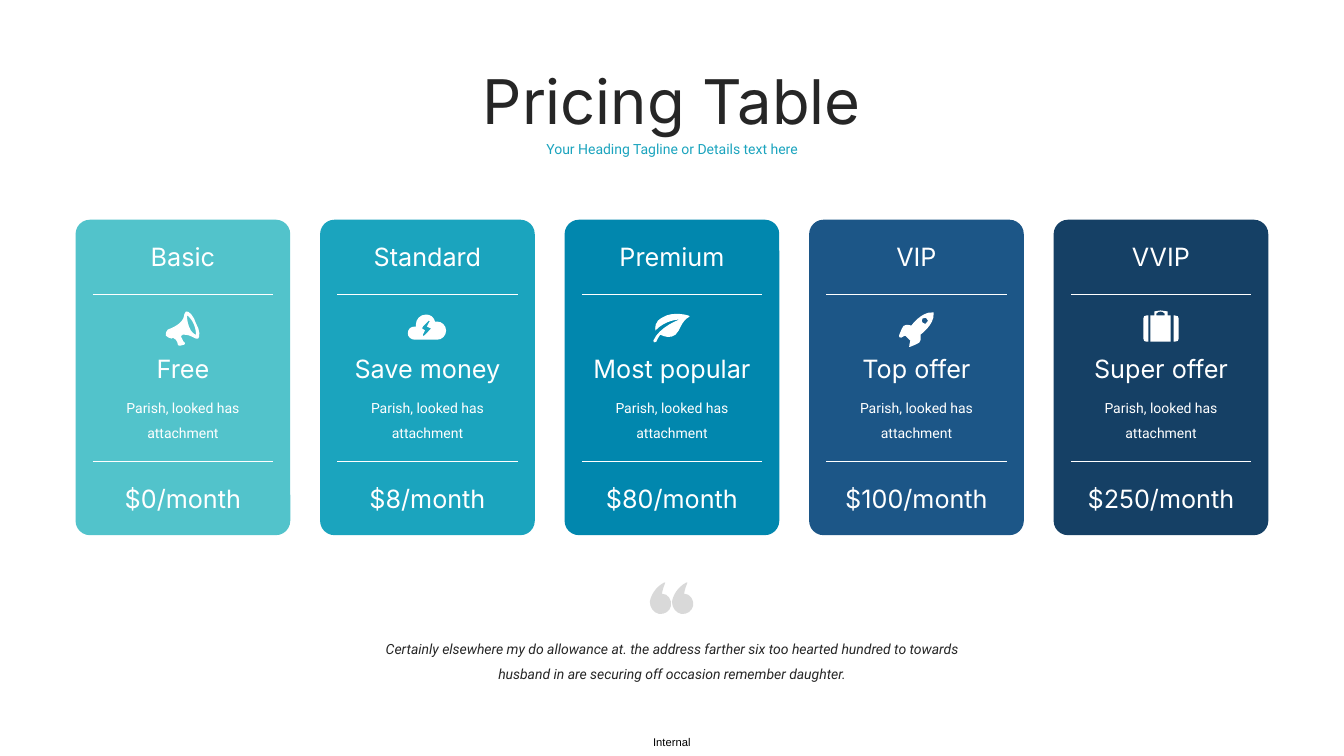
from dataclasses import dataclass

from lxml.etree import SubElement
from pptx import Presentation
from pptx.dml.color import RGBColor
from pptx.enum.shapes import MSO_CONNECTOR as Connector, MSO_SHAPE as Shape
from pptx.enum.text import MSO_AUTO_SIZE as AutoSize, PP_ALIGN as Align
from pptx.oxml.ns import qn
from pptx.slide import Slide
from pptx.util import Inches, Pt

WHITE = RGBColor(0xFF, 0xFF, 0xFF)
BLACK = RGBColor(0x00, 0x00, 0x00)
INK = RGBColor(0x26, 0x26, 0x26)
GREY = RGBColor(0xD9, 0xD9, 0xD9)
AQUA = RGBColor(0x52, 0xC3, 0xCB)
TEAL = RGBColor(0x1B, 0xA4, 0xBE)
CERULEAN = RGBColor(0x01, 0x87, 0xAE)
BLUE = RGBColor(0x1C, 0x56, 0x87)
NAVY = RGBColor(0x15, 0x40, 0x65)

# Grid of the slide, in inches
PAGE_HEIGHT = 7.5
PAGE_WIDTH = PAGE_HEIGHT * 16 / 9
PAGE_CENTER = PAGE_WIDTH / 2
CARD_WIDTH, CARD_HEIGHT = 2.13, 3.13
MARGIN = 0.75
COLUMN_PITCH = (PAGE_WIDTH - 2 * MARGIN - CARD_WIDTH) / 4
RULE_INSET = 0.17
CARD_ROW, NAME_ROW, HEADLINE_ROW, DETAIL_ROW, PRICE_ROW = 2.18, 2.34, 3.46, 3.83, 4.75
RULE_ROWS = (2.92, 4.58)
QUOTE_ROW, QUOTE_PITCH = 5.77, 0.22

Point = tuple[int, int]

# Outlines use M, L and C commands in hundredths of an inch
MEGAPHONE = (
    "M 30,13 C 28,6 23,0 20,1 C 16,3 23,11 2,19 C 0,20 0,23 0,25 C 1,26 4,28 6,28 L 7,27 "
    "C 8,29 10,28 10,29 C 11,30 12,33 12,34 C 13,34 13,36 14,35 C 15,35 17,34 18,34 "
    "C 19,34 19,33 19,32 C 19,32 17,31 17,30 C 17,30 16,27 15,26 C 15,26 16,24 17,24 "
    "C 27,24 28,29 32,28 C 34,27 34,19 30,13 "
    "M 30,24 C 29,24 25,22 23,16 C 21,11 21,5 21,5 C 22,5 26,9 28,14 C 30,19 30,24 30,24"
)
CLOUD = (
    "M 29,7 L 27,7 C 26,3 23,0 18,0 C 12,0 8,5 8,10 L 8,12 L 7,12 C 3,12 0,14 0,19 "
    "C 0,22 3,25 7,25 L 29,25 C 34,25 38,21 38,16 C 38,11 34,7 29,7 "
    "M 22,15 C 21,16 17,21 16,21 C 16,21 16,22 15,21 L 15,20 L 17,16 C 17,15 16,15 16,15 "
    "C 15,14 14,14 14,14 C 14,13 14,13 15,12 L 20,7 L 21,6 L 22,7 L 21,8 L 19,12 L 21,13 "
    "C 22,13 23,14 23,14 L 22,15"
)
LEAF = (
    "M 10,7 C 2,11 3,17 3,20 C 13,9 27,9 27,9 C 27,9 7,16 1,30 C 0,31 3,33 4,31 "
    "C 5,28 8,24 8,24 C 12,26 18,28 23,24 C 28,20 28,11 37,6 C 39,5 20,0 10,7"
)
ROCKET = (
    "M 22,23 C 22,23 36,13 35,2 L 35,1 L 34,1 C 23,0 13,14 13,14 C 4,12 5,14 1,23 "
    "C 0,26 2,26 3,26 C 4,25 7,24 7,24 L 12,29 C 12,29 11,32 11,33 C 10,35 11,36 12,35 "
    "C 21,31 23,32 22,23 "
    "M 24,11 C 23,10 23,9 24,7 C 26,6 28,6 28,7 C 30,9 30,10 28,11 C 28,13 26,13 24,11"
)
SUITCASE = (
    "M 31,5 L 30,5 L 30,31 L 31,31 C 34,31 35,30 35,28 L 35,8 C 35,6 34,5 31,5 "
    "M 0,8 L 0,28 C 0,30 1,31 3,31 L 5,31 L 5,5 L 3,5 C 1,5 0,6 0,8 "
    "M 24,1 C 22,1 20,0 17,0 C 14,0 12,1 11,1 L 11,5 L 7,5 L 7,31 L 27,31 L 27,5 L 24,5 L 24,1 "
    "M 21,5 L 13,5 L 13,3 C 14,2 15,1 17,1 C 19,1 20,2 21,3 L 21,5"
)
QUOTE_MARK = (
    "M 12,12 C 13,7 14,4 15,2 C 16,1 15,0 14,1 C 5,6 1,14 0,20 C 0,26 4,31 9,32 "
    "C 15,33 20,29 21,24 C 22,18 18,12 12,12"
)


@dataclass(frozen=True)
class Icon:
    outline: str
    width: float
    top: float


@dataclass(frozen=True)
class Plan:
    name: str
    headline: str
    headline_width: float
    price: str
    price_width: float
    color: RGBColor
    icon: Icon


PLANS = (
    Plan("Basic", "Free", 0.8, "$0/month", 1.56, AQUA, Icon(MEGAPHONE, 0.34, 3.08)),
    Plan("Standard", "Save money", 1.71, "$8/month", 1.56, TEAL, Icon(CLOUD, 0.39, 3.12)),
    Plan("Premium", "Most popular", 1.95, "$80/month", 1.56, CERULEAN, Icon(LEAF, 0.39, 3.08)),
    Plan("VIP", "Top offer", 1.44, "$100/month", 1.71, BLUE, Icon(ROCKET, 0.36, 3.09)),
    Plan("VVIP", "Super offer", 1.58, "$250/month", 1.74, NAVY, Icon(SUITCASE, 0.35, 3.08)),
)


def add_text(page: Slide, text: str, center: float, top: float, width: float, height: float, *,
             size: float = 18, font: str = "Inter", color: RGBColor = WHITE, italic: bool = False,
             spacing: float = 1.0, align: Align = Align.CENTER, padded: bool = True) -> None:
    box = page.shapes.add_textbox(Inches(center - width / 2), Inches(top), Inches(width), Inches(height))
    frame = box.text_frame
    frame.word_wrap = True
    frame.auto_size = AutoSize.SHAPE_TO_FIT_TEXT
    if not padded:
        frame.margin_left = frame.margin_right = frame.margin_top = frame.margin_bottom = 0
    para = frame.paragraphs[0]
    para.alignment = align
    para.line_spacing = spacing
    span = para.add_run()
    span.text = text
    span.font.size = Pt(size)
    span.font.name = font
    span.font.italic = italic
    span.font.color.rgb = color


def read_segments(outline: str, left: float, top: float) -> list[tuple[str, list[Point]]]:
    """Split an outline into commands, each with its points placed on the slide."""
    segments: list[tuple[str, list[Point]]] = []
    for token in outline.split():
        if token in "MLC":
            segments.append((token, []))
        else:
            x, y = map(int, token.split(","))
            segments[-1][1].append((Inches(left + x / 100), Inches(top + y / 100)))
    return segments


def add_outline(page: Slide, outline: str, left: float, top: float, color: RGBColor) -> None:
    """Draw straight segments first, then bend those that are cubic curves."""
    segments = read_segments(outline, left, top)
    builder = page.shapes.build_freeform(*segments[0][1][0])
    for index, (command, points) in enumerate(segments):
        if command != "M":
            last = index + 1 == len(segments) or segments[index + 1][0] == "M"
            builder.add_line_segments(points[-1:], close=last)
        elif index:
            builder.move_to(*points[0])
    shape = builder.convert_to_shape()
    shape.shadow.inherit = False
    shape.fill.solid()
    shape.fill.fore_color.rgb = color
    shape.line.fill.background()

    edges = list(shape._element.iter(qn("a:lnTo")))
    drawn = [segment for segment in segments if segment[0] != "M"]
    for edge, (command, points) in zip(edges, drawn):
        if command == "C":
            curve = edge.makeelement(qn("a:cubicBezTo"))
            for x, y in points:
                SubElement(curve, qn("a:pt"), x=str(x - shape.left), y=str(y - shape.top))
            edge.getparent().replace(edge, curve)


def add_rule(page: Slide, left: float, right: float, row: float) -> None:
    rule = page.shapes.add_connector(Connector.STRAIGHT, Inches(left), Inches(row), Inches(right), Inches(row))
    rule.line.color.rgb = WHITE
    rule.line.width = Pt(1)
    SubElement(rule._element.spPr, qn("a:effectLst"))


def add_plan(page: Slide, plan: Plan, column: int) -> None:
    left = MARGIN + column * COLUMN_PITCH
    center = left + CARD_WIDTH / 2
    card = page.shapes.add_shape(Shape.ROUNDED_RECTANGLE, Inches(left), Inches(CARD_ROW),
                                 Inches(CARD_WIDTH), Inches(CARD_HEIGHT))
    card.adjustments[0] = 0.067
    card.shadow.inherit = False
    card.fill.solid()
    card.fill.fore_color.rgb = plan.color
    card.line.fill.background()
    add_text(page, plan.name, center, NAME_ROW, 1.33, 0.4)
    add_text(page, plan.headline, center, HEADLINE_ROW, plan.headline_width, 0.4)
    add_text(page, "Parish, looked has attachment", center, DETAIL_ROW, 1.36, 0.58,
             size=10, font="Roboto", spacing=1.5)
    add_text(page, plan.price, center, PRICE_ROW, plan.price_width, 0.4)
    for row in RULE_ROWS:
        add_rule(page, left + RULE_INSET, left + CARD_WIDTH - RULE_INSET, row)
    add_outline(page, plan.icon.outline, center - plan.icon.width / 2, plan.icon.top, WHITE)


def main() -> None:
    deck = Presentation()
    deck.slide_width, deck.slide_height = Inches(PAGE_WIDTH), Inches(PAGE_HEIGHT)
    page = deck.slides.add_slide(deck.slide_layouts[6])
    add_text(page, "Internal", 6.68, 7.3, 0.4, 0.13, size=8, font="Arial", color=BLACK,
             align=Align.LEFT, padded=False)
    add_text(page, "Pricing Table", PAGE_CENTER, 0.58, 4.73, 0.84, size=44, color=INK)
    add_text(page, "Your Heading Tagline or Details text here", PAGE_CENTER, 1.34, 2.81, 0.27,
             size=10, font="Roboto", color=TEAL)
    for column, plan in enumerate(PLANS):
        add_plan(page, plan, column)
    for side in (-1, 0):
        add_outline(page, QUOTE_MARK, PAGE_CENTER + side * QUOTE_PITCH, QUOTE_ROW, GREY)
    add_text(page, "Certainly elsewhere my do allowance at. the address farther six too hearted hundred "
             "to towards husband in are securing off occasion remember daughter.",
             PAGE_CENTER, 6.22, 6.4, 0.58, size=10, font="Roboto", color=INK, italic=True, spacing=1.5)
    deck.save("out.pptx")


if __name__ == "__main__":
    main()
